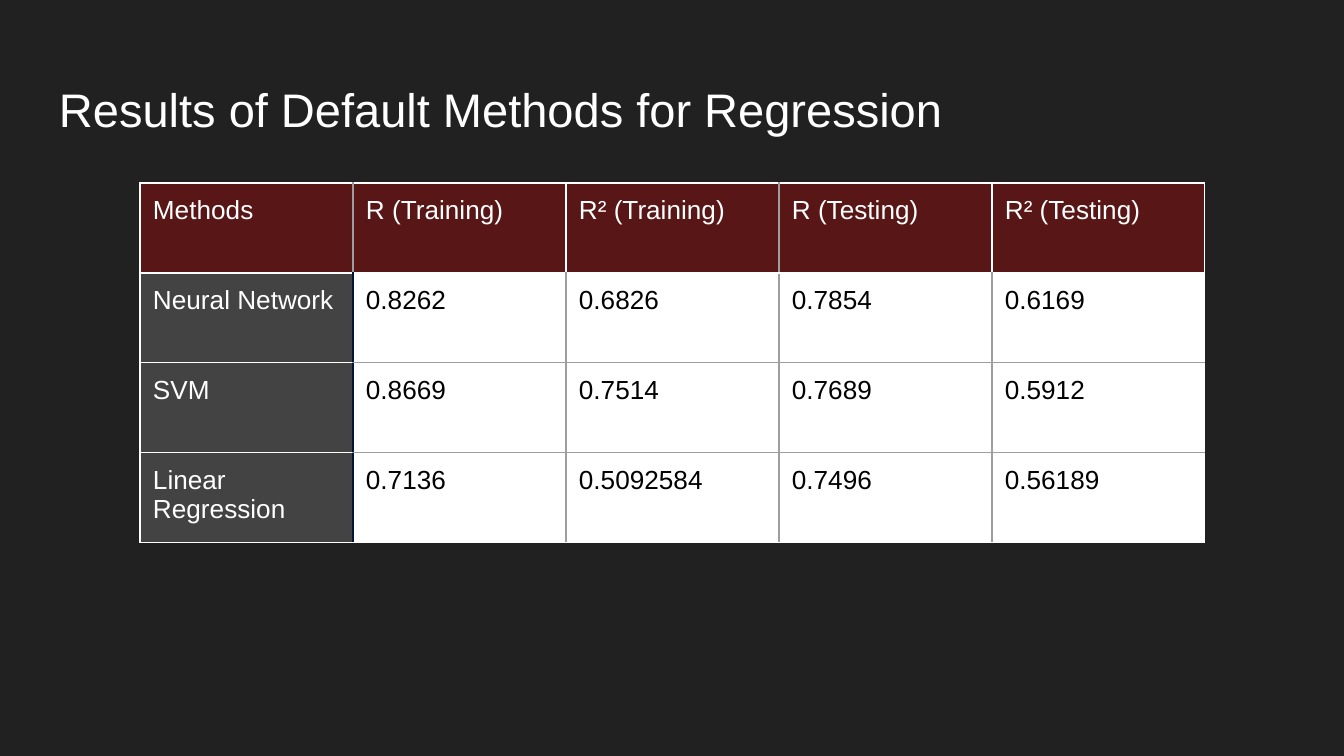
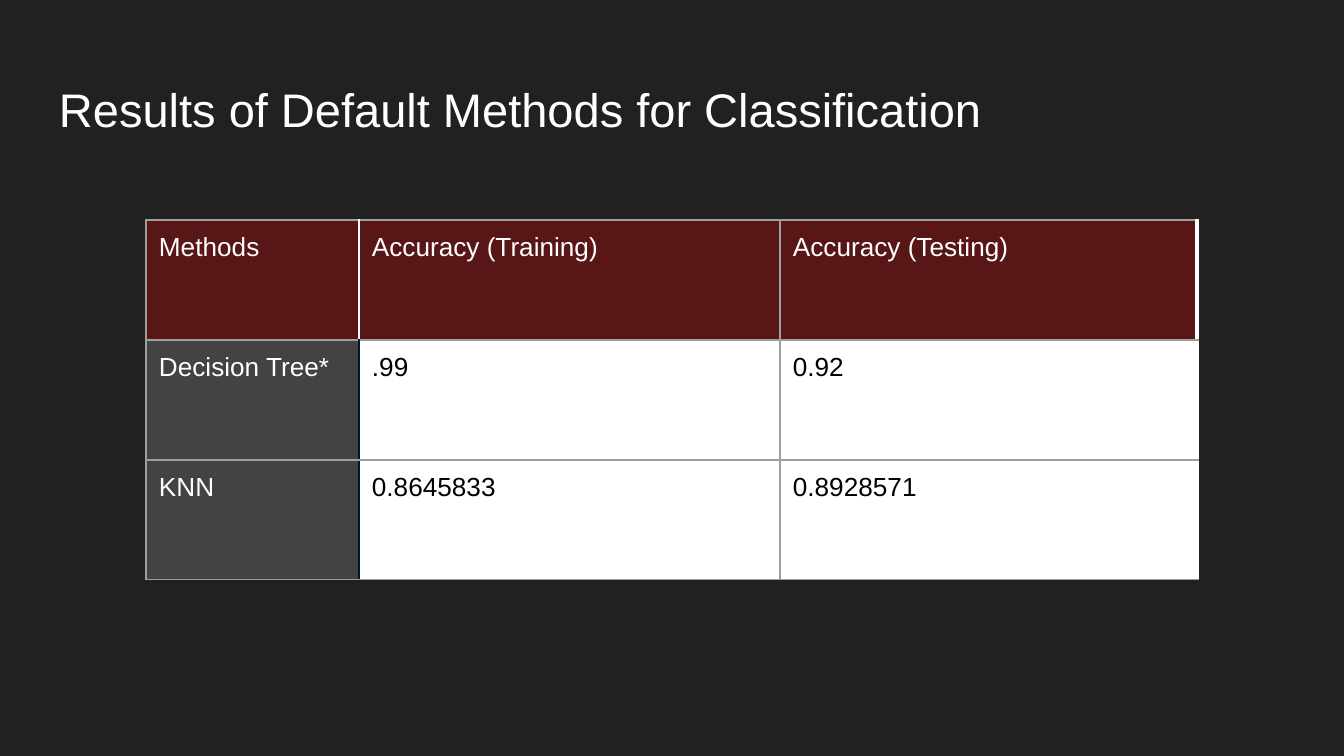
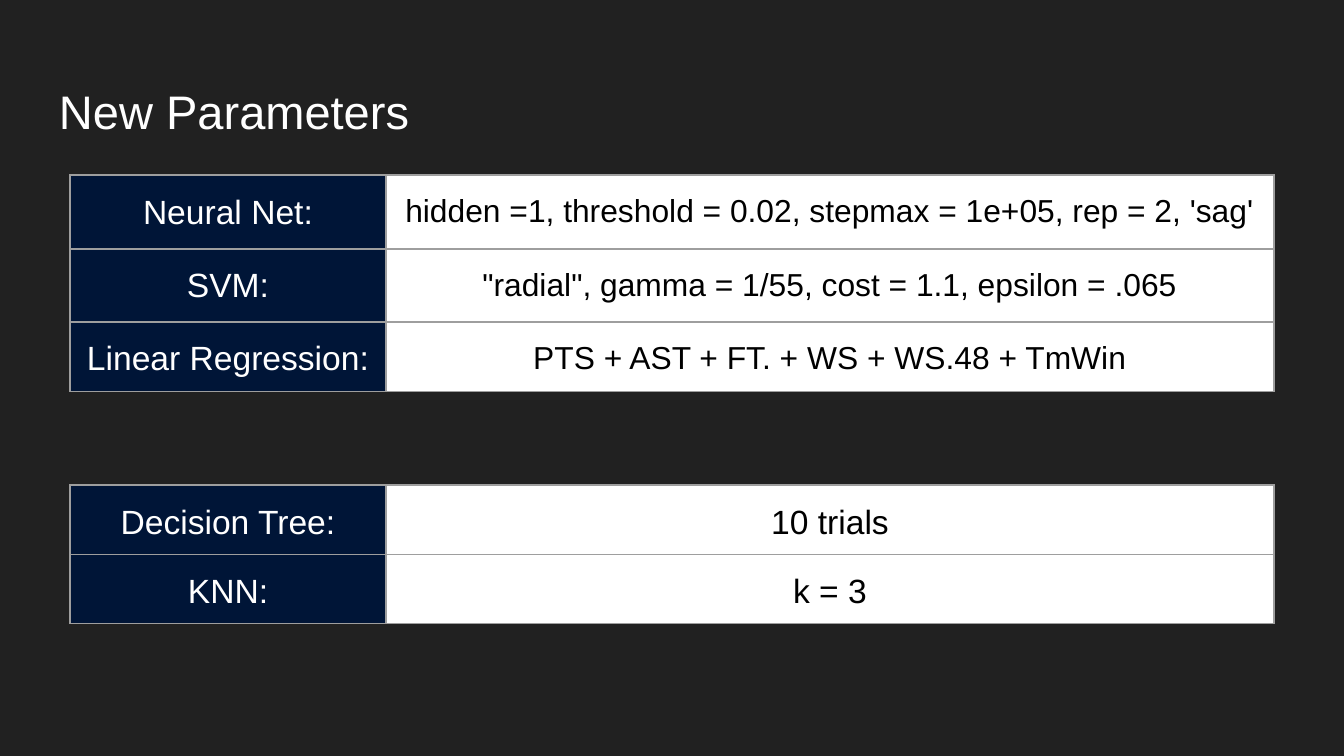
from dataclasses import dataclass
from typing import NamedTuple

from lxml import etree
from pptx import Presentation
from pptx.dml.color import RGBColor
from pptx.enum.text import MSO_ANCHOR, PP_ALIGN
from pptx.oxml.ns import qn
from pptx.util import Emu, Pt

MIDDLE = MSO_ANCHOR.MIDDLE
LEFT, CENTER = PP_ALIGN.LEFT, PP_ALIGN.CENTER

BACKGROUND = RGBColor(0x21, 0x21, 0x21)
WHITE = RGBColor(0xFF, 0xFF, 0xFF)
BLACK = RGBColor(0x00, 0x00, 0x00)
MAROON = RGBColor(0x58, 0x16, 0x16)
CHARCOAL = RGBColor(0x43, 0x43, 0x43)
NAVY = RGBColor(0x00, 0x15, 0x37)
GRAY = RGBColor(0x9E, 0x9E, 0x9E)

FONT = "Arial"
PX_PER_INCH = 134.4
INSET = 13
TITLE_ONLY = 5


class Edge(NamedTuple):
    color: RGBColor
    width: float = 0.75


WHITE_EDGE, GRAY_EDGE, NAVY_EDGE = Edge(WHITE), Edge(GRAY), Edge(NAVY)
THICK_GRAY, THICK_WHITE = Edge(GRAY, 1.5), Edge(WHITE, 2.25)


@dataclass(frozen=True)
class CellStyle:
    fill: RGBColor
    color: RGBColor
    size: int = 14
    align: PP_ALIGN = LEFT
    spacing: float = 1.0
    after: int = 0


HEADER = CellStyle(MAROON, WHITE)
LABEL = CellStyle(CHARCOAL, WHITE)
VALUE = CellStyle(WHITE, BLACK)
PARAM_FORMAT = {"align": CENTER, "spacing": 1.15, "after": 12}
PARAM_LABEL = CellStyle(NAVY, WHITE, 18, **PARAM_FORMAT)
SETTING = CellStyle(WHITE, BLACK, 17, **PARAM_FORMAT)
LARGE_SETTING = CellStyle(WHITE, BLACK, 18, **PARAM_FORMAT)


@dataclass(frozen=True)
class Table:
    """Column edges run left to right, row edges top to bottom."""
    x: int
    y: int
    cols: list[int]
    rows: list[int]
    cells: list[list[str]]
    label: CellStyle
    value: CellStyle
    first_row_edges: list[Edge]
    body_edges: list[Edge]
    label_row_edges: list[Edge]
    value_row_edges: list[Edge]
    header: CellStyle | None = None

    def style_at(self, row: int, col: int) -> CellStyle:
        if row == 0 and self.header:
            return self.header
        return self.value if col else self.label


@dataclass(frozen=True)
class Page:
    title: str
    title_y: int
    tables: list[Table]


def px(n: float) -> Emu:
    return Emu(round(n * 914400 / PX_PER_INCH))


def apply(target, values: dict) -> None:
    for name, value in values.items():
        setattr(target, name, value)


MARGINS = {f"margin_{side}": px(INSET) for side in ("left", "top", "right", "bottom")}


def write(p, text: str, size: float, color: RGBColor) -> None:
    r = p.add_run()
    r.text = text
    apply(r.font, {"name": FONT, "size": Pt(size), "bold": False})
    r.font.color.rgb = color


def add_border(cell, tag: str, edge: Edge) -> None:
    ln = etree.SubElement(cell._tc.get_or_add_tcPr(), qn(f"a:{tag}"), w=str(Pt(edge.width)))
    fill = etree.SubElement(ln, qn("a:solidFill"))
    etree.SubElement(fill, qn("a:srgbClr"), val=str(edge.color))


def fill_cell(cell, text: str, style: CellStyle) -> None:
    apply(cell, MARGINS)
    cell.fill.solid()
    cell.fill.fore_color.rgb = style.fill
    p = cell.text_frame.paragraphs[0]
    apply(p, {"alignment": style.align, "line_spacing": style.spacing,
              "space_after": Pt(style.after)})
    write(p, text, style.size, style.color)


def add_table(s, table: Table) -> None:
    frame = s.shapes.add_table(len(table.rows), len(table.cols), px(table.x), px(table.y),
                               px(sum(table.cols)), px(sum(table.rows)))
    grid = frame.table
    apply(grid, {"first_row": False, "horz_banding": False})
    for col, width in zip(grid.columns, table.cols):
        col.width = px(width)
    for row, height in zip(grid.rows, table.rows):
        row.height = px(height)
    for i, texts in enumerate(table.cells):
        across = table.body_edges if i else table.first_row_edges
        for j, text in enumerate(texts):
            down = table.value_row_edges if j else table.label_row_edges
            cell = grid.cell(i, j)
            edges = {"lnL": across[j], "lnR": across[j + 1], "lnT": down[i], "lnB": down[i + 1]}
            for tag, edge in edges.items():
                add_border(cell, tag, edge)
            fill_cell(cell, text, table.style_at(i, j))


def add_page(prs, page: Page) -> None:
    s = prs.slides.add_slide(prs.slide_layouts[TITLE_ONLY])
    title = s.shapes.title
    apply(title, {"left": px(46), "top": px(page.title_y), "width": px(1252), "height": px(85)})
    tf = title.text_frame
    apply(tf, {**MARGINS, "word_wrap": True, "vertical_anchor": MIDDLE})
    p = tf.paragraphs[0]
    p.alignment = LEFT
    write(p, page.title, 25.2, WHITE)
    for table in page.tables:
        add_table(s, table)


def parameter_table(y: int, rows: list[int], cells: list[list[str]], value: CellStyle) -> Table:
    across, down = [GRAY_EDGE] * 3, [GRAY_EDGE] * (len(rows) + 1)
    return Table(70, y, [316, 888], rows, cells, PARAM_LABEL, value, across, across, down, down)


REGRESSION = Table(
    140, 183, [213] * 5, [90] * 4,
    [["Methods", "R (Training)", "R² (Training)", "R (Testing)", "R² (Testing)"],
     ["Neural Network", "0.8262", "0.6826", "0.7854", "0.6169"],
     ["SVM", "0.8669", "0.7514", "0.7689", "0.5912"],
     ["Linear Regression", "0.7136", "0.5092584", "0.7496", "0.56189"]],
    LABEL, VALUE,
    first_row_edges=[WHITE_EDGE, GRAY_EDGE, WHITE_EDGE, THICK_GRAY, WHITE_EDGE, WHITE_EDGE],
    body_edges=[WHITE_EDGE, NAVY_EDGE, GRAY_EDGE, THICK_GRAY, GRAY_EDGE, WHITE_EDGE],
    label_row_edges=[WHITE_EDGE] * 5,
    value_row_edges=[WHITE_EDGE, WHITE_EDGE, GRAY_EDGE, GRAY_EDGE, WHITE_EDGE],
    header=HEADER,
)

CLASSIFICATION = Table(
    146, 220, [213, 421, 417], [120] * 3,
    [["Methods", "Accuracy (Training)", "Accuracy (Testing)"],
     ["Decision Tree*", ".99", "0.92"],
     ["KNN", "0.8645833", "0.8928571"]],
    LABEL, VALUE,
    first_row_edges=[GRAY_EDGE, WHITE_EDGE, GRAY_EDGE, THICK_WHITE],
    body_edges=[GRAY_EDGE, NAVY_EDGE, GRAY_EDGE, THICK_WHITE],
    label_row_edges=[GRAY_EDGE] * 4,
    value_row_edges=[GRAY_EDGE] * 4,
    header=HEADER,
)

REGRESSION_PARAMETERS = parameter_table(
    175, [74, 73, 67],
    [["Neural Net:", "hidden =1, threshold = 0.02, stepmax = 1e+05, rep = 2, 'sag'"],
     ["SVM:", '"radial", gamma = 1/55, cost = 1.1, epsilon = .065'],
     ["Linear Regression:", "PTS + AST + FT. + WS + WS.48 + TmWin"]],
    SETTING,
)

CLASSIFICATION_PARAMETERS = parameter_table(
    485, [67, 67],
    [["Decision Tree:", "10 trials"], ["KNN:", "k = 3"]],
    LARGE_SETTING,
)

PAGES = [
    Page("Results of Default Methods for Regression", 66, [REGRESSION]),
    Page("Results of Default Methods for Classification", 66, [CLASSIFICATION]),
    Page("New Parameters", 68, [REGRESSION_PARAMETERS, CLASSIFICATION_PARAMETERS]),
]


def main() -> None:
    prs = Presentation()
    apply(prs, {"slide_width": px(1344), "slide_height": px(756)})
    fill = prs.slide_master.background.fill
    fill.solid()
    fill.fore_color.rgb = BACKGROUND
    for page in PAGES:
        add_page(prs, page)
    prs.save("out.pptx")


if __name__ == "__main__":
    main()
